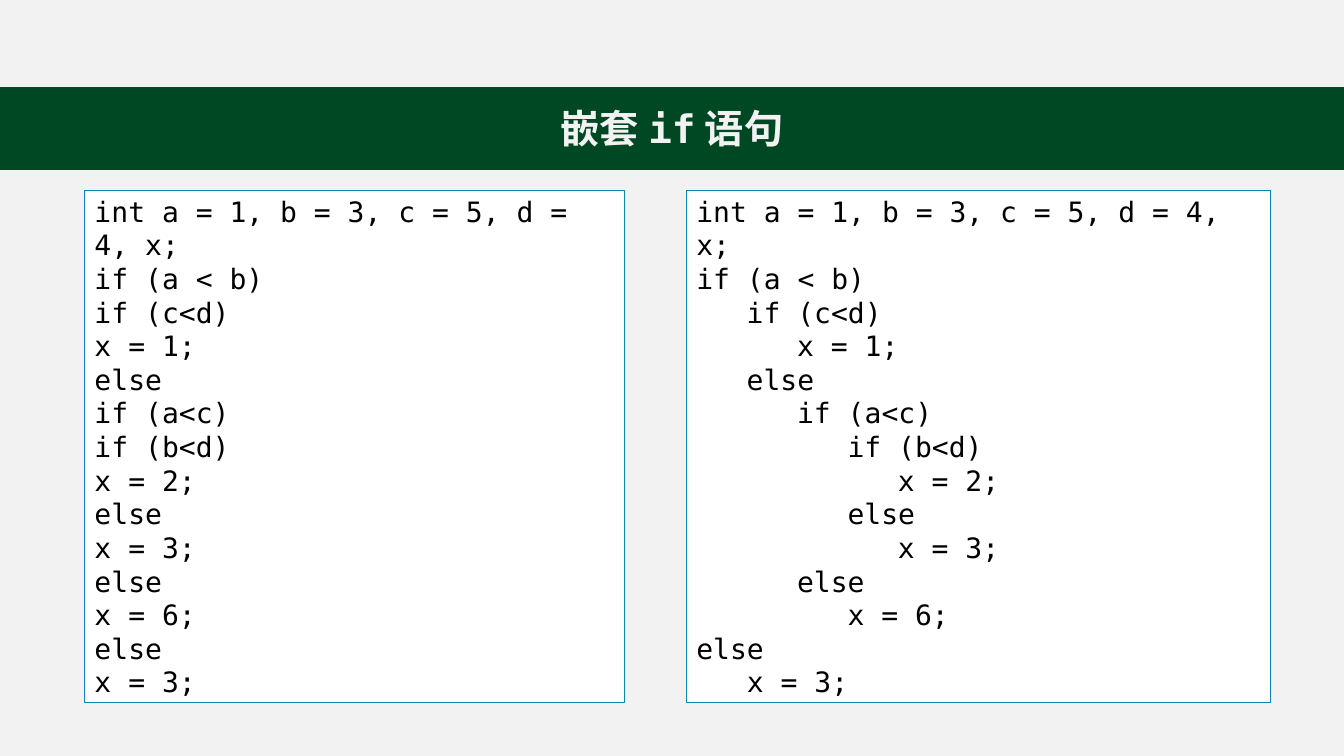
from lxml import etree
from pptx import Presentation
from pptx.dml.color import RGBColor
from pptx.enum.shapes import MSO_SHAPE as Preset
from pptx.enum.text import MSO_ANCHOR as Anchor, PP_ALIGN as Align
from pptx.oxml.ns import qn
from pptx.util import Pt

PALE = RGBColor(0xF2, 0xF2, 0xF2)
WHITE = RGBColor(0xFF, 0xFF, 0xFF)
BLACK = RGBColor(0x00, 0x00, 0x00)
GREEN = RGBColor(0x00, 0x47, 0x23)
TEAL = RGBColor(0x09, 0x89, 0xB1)

CODE_FONT = "DejaVu Sans Mono"
CHINESE_FONT = "Noto Sans CJK SC"

PAGE_WIDTH, PAGE_HEIGHT = 960, 540
INDENT_STEP = 36

TITLE = [("嵌套", CHINESE_FONT), ("if", CODE_FONT), ("语句", CHINESE_FONT)]

DECLARATION = "int a = 1, b = 3, c = 5, d = 4, x;"
FLAT_CODE = [(0, line) for line in (
    DECLARATION, "if (a < b)", "if (c<d)", "x = 1;", "else", "if (a<c)",
    "if (b<d)", "x = 2;", "else", "x = 3;", "else", "x = 6;", "else", "x = 3;",
)]
INDENTED_CODE = [
    (0, DECLARATION),
    (0, "if (a < b)"),
    (1, "if (c<d)"),
    (1, "\tx = 1;"),
    (1, "else"),
    (2, "if (a<c)"),
    (3, "if (b<d)"),
    (3, "\tx = 2;"),
    (3, "else"),
    (3, "\tx = 3;"),
    (2, "else"),
    (2, "\tx = 6;"),
    (0, "else"),
    (0, "   x = 3;"),
]


def add_panel(page, box, fill, line):
    panel = page.shapes.add_shape(Preset.RECTANGLE, *(Pt(length) for length in box))
    panel.shadow.inherit = False
    panel.fill.solid()
    panel.fill.fore_color.rgb = fill
    panel.line.color.rgb = line
    panel.line.width = Pt(1)
    panel.text_frame.word_wrap = True
    panel.text_frame.vertical_anchor = Anchor.MIDDLE
    return panel.text_frame


def add_span(para, text, font_name, size, color, bold=False):
    span = para.add_run()
    span.text = text
    span.font.size = Pt(size)
    span.font.bold = bold
    span.font.color.rgb = color
    span.font.name = font_name
    properties = span.font._element
    etree.SubElement(properties, qn("a:ea")).set("typeface", font_name)


def add_title_band(page, box):
    para = add_panel(page, box, GREEN, GREEN).paragraphs[0]
    para.alignment = Align.CENTER
    for text, font_name in TITLE:
        add_span(para, text, font_name, 28, PALE, bold=True)


def add_code_panel(page, box, lines):
    frame = add_panel(page, box, WHITE, TEAL)
    for index, (level, text) in enumerate(lines):
        para = frame.add_paragraph() if index else frame.paragraphs[0]
        para.alignment = Align.LEFT
        para.level = level
        properties = para._p.get_or_add_pPr()
        properties.set("marL", str(Pt(level * INDENT_STEP)))
        properties.set("indent", "0")
        add_span(para, text, CODE_FONT, 20, BLACK)


def build_code_page(deck):
    page = deck.slides.add_slide(deck.slide_layouts[6])
    page.background.fill.solid()
    page.background.fill.fore_color.rgb = PALE
    add_title_band(page, (0, 62.4, PAGE_WIDTH, 58.3))
    top, height = 136, 365.7
    add_code_panel(page, (60.4, top, 385.6, height), FLAT_CODE)
    add_code_panel(page, (490.3, top, 417.2, height), INDENTED_CODE)


def main():
    deck = Presentation()
    deck.slide_width, deck.slide_height = Pt(PAGE_WIDTH), Pt(PAGE_HEIGHT)
    build_code_page(deck)
    deck.save("out.pptx")


if __name__ == "__main__":
    main()
